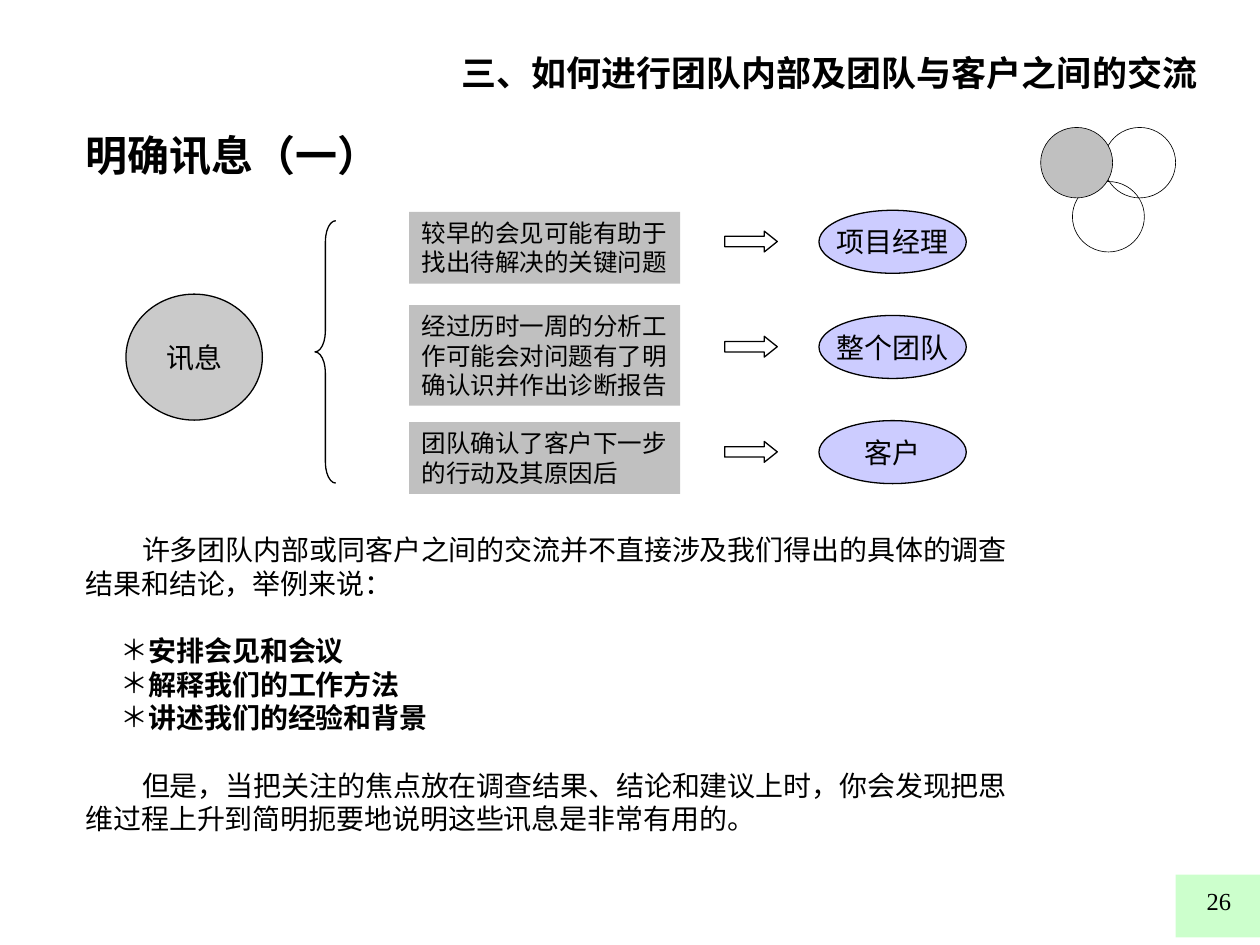
from lxml import etree
from pptx import Presentation
from pptx.dml.color import RGBColor
from pptx.enum.shapes import MSO_SHAPE
from pptx.enum.text import MSO_ANCHOR, MSO_AUTO_SIZE, PP_ALIGN
from pptx.oxml.ns import qn
from pptx.util import Cm, Pt

BLACK = RGBColor(0, 0, 0)
WHITE = RGBColor(255, 255, 255)
GREY = RGBColor(0xC0, 0xC0, 0xC0)
DARK = RGBColor(0x96, 0x96, 0x96)
LILAC = RGBColor(0xCC, 0xCC, 0xFF)
MINT = RGBColor(0xCC, 0xFF, 0xCC)

RECT, OVAL = MSO_SHAPE.RECTANGLE, MSO_SHAPE.OVAL
ARROW, BRACE = MSO_SHAPE.RIGHT_ARROW, MSO_SHAPE.LEFT_BRACE
LEFT, MID, RIGHT = PP_ALIGN.LEFT, PP_ALIGN.CENTER, PP_ALIGN.RIGHT
TOP, CENTER = MSO_ANCHOR.TOP, MSO_ANCHOR.MIDDLE
FIXED = MSO_AUTO_SIZE.NONE

LINE = 1.2  # line height as a multiple of the type size


class Page:
    face = "Times New Roman"
    head = "Noto Sans CJK SC"

    def __init__(self, deck):
        self.slide = deck.slides.add_slide(deck.slide_layouts[1])

    def place(self, item, box):
        item.left, item.top, item.width, item.height = map(Cm, box)

    def frame(self, item, anchor=TOP, wrap=True):
        frame = item.text_frame
        frame.auto_size = FIXED
        frame.word_wrap = wrap
        frame.vertical_anchor = anchor
        return frame

    def text(self, para, words, size, align=LEFT, bold=False, face=None):
        para.alignment = align
        para.space_before = para.space_before or Pt(0)
        run = para.add_run()
        run.text = words
        font = run.font
        font.name, font.size, font.bold = face or self.face, Pt(size), bold
        font.color.rgb = BLACK

    def shape(self, kind, box, fill=None, line=0.75, alpha=None):
        item = self.slide.shapes.add_shape(kind, *map(Cm, box))
        item.shadow.inherit = False
        if fill is None:
            item.fill.background()
        else:
            item.fill.solid()
            item.fill.fore_color.rgb = fill
        if alpha:
            color = item._element.spPr.find(".//" + qn("a:srgbClr"))
            etree.SubElement(color, qn("a:alpha")).set("val", str(alpha * 1000))
        if line:
            item.line.color.rgb = BLACK
            item.line.width = Pt(line)
        else:
            item.line.fill.background()
        return item

    def label(self, item, lines, size, align=MID, anchor=CENTER):
        frame = self.frame(item, anchor, False)
        for i, words in enumerate(lines):
            para = frame.add_paragraph() if i else frame.paragraphs[0]
            self.text(para, words, size, align)

    def title(self, words, box):
        item = self.slide.shapes.title
        self.place(item, box)
        para = self.frame(item).paragraphs[0]
        self.text(para, words, 20, bold=True, face=self.head)

    def body(self, rows, box):
        item = self.slide.placeholders[1]
        self.place(item, box)
        frame = self.frame(item)
        for i, (words, size, bold, gap, indent, mark) in enumerate(rows):
            para = frame.add_paragraph() if i else frame.paragraphs[0]
            props = para._p.get_or_add_pPr()
            props.set("marL", str(Cm(1.27) if mark else 0))
            props.set("indent", str(Cm(indent)))
            if mark:
                etree.SubElement(props, qn("a:buChar")).set("char", mark)
            else:
                etree.SubElement(props, qn("a:buNone"))
            para.space_before = Pt(gap)
            self.text(para, words, size, bold=bold)

    def note(self, words, box, size, align):
        item = self.slide.shapes.add_textbox(*map(Cm, box))
        self.text(self.frame(item).paragraphs[0], words, size, align)


def main():
    deck = Presentation()
    deck.slide_width, deck.slide_height = Cm(25.4), Cm(19.05)
    page = Page(deck)

    # Title and body text
    page.title("三、如何进行团队内部及团队与客户之间的交流", (9.04, 0.91, 15.8, 1.12))
    gap = 16 * LINE
    page.body([
        ("明确讯息（一）", 24, True, 0, 0, None),
        ("许多团队内部或同客户之间的交流并不直接涉及我们得出的具体的调查"
         "结果和结论，举例来说：", 16, False, 7 * 24 * LINE, 1.14, None),
        ("安排会见和会议", 16, True, gap, -0.56, "＊"),
        ("解释我们的工作方法", 16, True, 0, -0.56, "＊"),
        ("讲述我们的经验和背景", 16, True, 0, -0.56, "＊"),
        ("但是，当把关注的焦点放在调查结果、结论和建议上时，你会发现把思"
         "维过程上升到简明扼要地说明这些讯息是非常有用的。",
         16, False, gap, 1.14, None),
    ], (1.47, 2.49, 19.48, 15.67))

    # Three rings, the first one marked
    for x, y, fill in [(21.62, 3.66, WHITE), (22.25, 2.57, None),
                       (20.98, 2.57, GREY)]:
        page.shape(OVAL, (x, y, 1.45, 1.42), fill, 0.37)

    # Message and brace
    hub = page.shape(OVAL, (2.54, 5.93, 2.75, 2.54), DARK, alpha=50)
    page.label(hub, ["讯息"], 16)
    brace = page.shape(BRACE, (6.35, 4.45, 0.42, 5.29))
    brace.adjustments[0] = 1

    # Each message leads to its audience
    rows = [
        (4.27, 1.45, ["较早的会见可能有助于", "找出待解决的关键问题"], "项目经理"),
        (6.15, 2.03, ["经过历时一周的分析工", "作可能会对问题有了明",
                      "确认识并作出诊断报告"], "整个团队"),
        (8.51, 1.45, ["团队确认了客户下一步", "的行动及其原因后"], "客户"),
    ]
    for i, (top, high, lines, who) in enumerate(rows):
        card = page.shape(RECT, (8.25, top, 5.46, high), GREY, 0)
        page.label(card, lines, 14, LEFT, TOP)
        y = 4.24 + 2.12 * i
        arrow = page.shape(ARROW, (14.61, y + 0.42, 1.06, 0.42))
        arrow.adjustments[1] = 0.625
        oval = page.shape(OVAL, (16.51, y, 2.97, 1.27), LILAC)
        page.label(oval, [who], 16)

    # Page number
    page.shape(RECT, (23.7, 17.63, 1.7, 1.27), MINT, 0)
    page.note("26", (19.79, 17.73, 5.28, 1.27), 14, RIGHT)

    deck.save("out.pptx")


if __name__ == "__main__":
    main()
